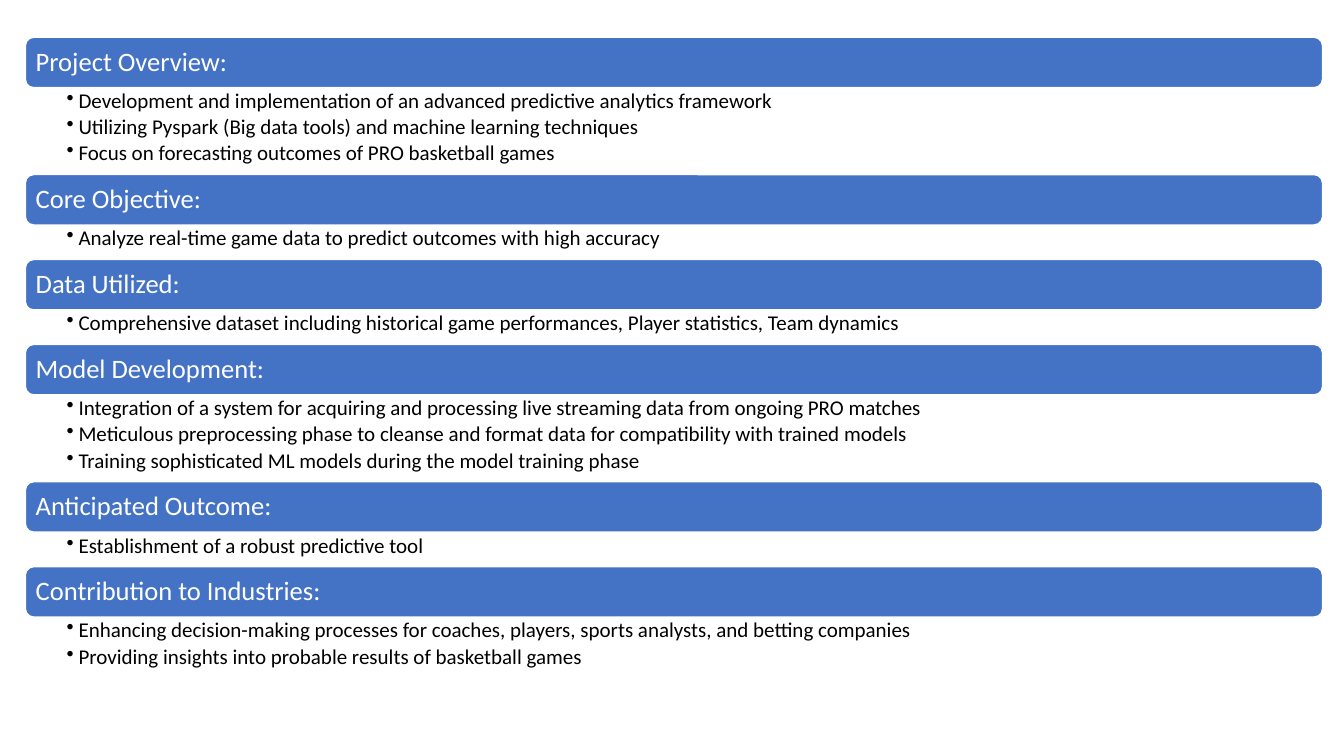
from lxml.etree import SubElement
from pptx import Presentation
from pptx.dml.color import RGBColor
from pptx.enum.shapes import MSO_SHAPE
from pptx.enum.text import MSO_ANCHOR, PP_ALIGN
from pptx.oxml.ns import qn
from pptx.util import Cm, Pt

BLUE = RGBColor(0x44, 0x72, 0xC4)
WHITE = RGBColor(0xFF, 0xFF, 0xFF)
BLACK = RGBColor(0, 0, 0)
FONT = "Calibri"

LEFT, TOP, WIDTH = Cm(0.64), Cm(0.94), Cm(32.69)
BAR_HEIGHT = Cm(1.27)
LINE_HEIGHT = Cm(0.66)
LIST_PADDING = Cm(0.21)
BULLET_INDENT = Cm(0.3)

SECTIONS = [
    ("Project Overview:", [
        "Development and implementation of an advanced predictive analytics framework",
        "Utilizing Pyspark (Big data tools) and machine learning techniques",
        "Focus on forecasting outcomes of PRO basketball games",
    ]),
    ("Core Objective:", [
        "Analyze real-time game data to predict outcomes with high accuracy",
    ]),
    ("Data Utilized:", [
        "Comprehensive dataset including historical game performances, "
        "Player statistics, Team dynamics",
    ]),
    ("Model Development:", [
        "Integration of a system for acquiring and processing live streaming data "
        "from ongoing PRO matches",
        "Meticulous preprocessing phase to cleanse and format data for compatibility "
        "with trained models",
        "Training sophisticated ML models during the model training phase",
    ]),
    ("Anticipated Outcome:", [
        "Establishment of a robust predictive tool",
    ]),
    ("Contribution to Industries:", [
        "Enhancing decision-making processes for coaches, players, sports analysts, "
        "and betting companies",
        "Providing insights into probable results of basketball games",
    ]),
]


def format_paragraph(para, size, color):
    """Set the font and line spacing of a paragraph."""
    para.alignment = PP_ALIGN.LEFT
    para.line_spacing = 0.9
    para.font.name = FONT
    para.font.size = Pt(size)
    para.font.color.rgb = color


def add_bullet(para):
    """Give a paragraph a round bullet with a hanging indent."""
    properties = para._p.get_or_add_pPr()
    properties.set("marL", str(BULLET_INDENT))
    properties.set("indent", str(-BULLET_INDENT))
    SubElement(properties, qn("a:buChar")).set("char", "•")


def add_heading_bar(page, heading, left, top, width, height):
    """Draw a rounded blue bar that carries a section heading."""
    bar = page.shapes.add_shape(MSO_SHAPE.ROUNDED_RECTANGLE, left, top, width, height)
    bar.shadow.inherit = False
    bar.fill.solid()
    bar.fill.fore_color.rgb = BLUE
    bar.line.color.rgb = WHITE
    bar.line.width = Pt(1)
    frame = bar.text_frame
    frame.margin_left = frame.margin_right = Cm(0.2)
    frame.vertical_anchor = MSO_ANCHOR.MIDDLE
    frame.text = heading
    format_paragraph(frame.paragraphs[0], 19, WHITE)


def add_bullet_list(page, items, left, top, width, height):
    """Place the bulleted points of a section."""
    frame = page.shapes.add_textbox(left, top, width, height).text_frame
    frame.word_wrap = True
    frame.margin_left, frame.margin_right = Cm(1.04), Cm(0.38)
    frame.margin_top = frame.margin_bottom = Cm(0.07)
    frame.text = "\n".join(items)
    for para in frame.paragraphs:
        format_paragraph(para, 15, BLACK)
        para.space_after = Pt(2.5)
        add_bullet(para)


def add_section(page, heading, items, left, top, width):
    """Stack a heading bar on its list and return the bottom edge."""
    list_top = top + BAR_HEIGHT
    list_height = LIST_PADDING + LINE_HEIGHT * len(items)
    add_heading_bar(page, heading, left, top, width, BAR_HEIGHT)
    add_bullet_list(page, items, left, list_top, width, list_height)
    return list_top + list_height


def main():
    """Build the project summary slide."""
    deck = Presentation()
    deck.slide_width, deck.slide_height = Cm(33.87), Cm(19.05)
    page = deck.slides.add_slide(deck.slide_layouts[6])
    top = TOP
    for heading, items in SECTIONS:
        top = add_section(page, heading, items, LEFT, top, WIDTH)
    deck.save("out.pptx")


if __name__ == "__main__":
    main()
